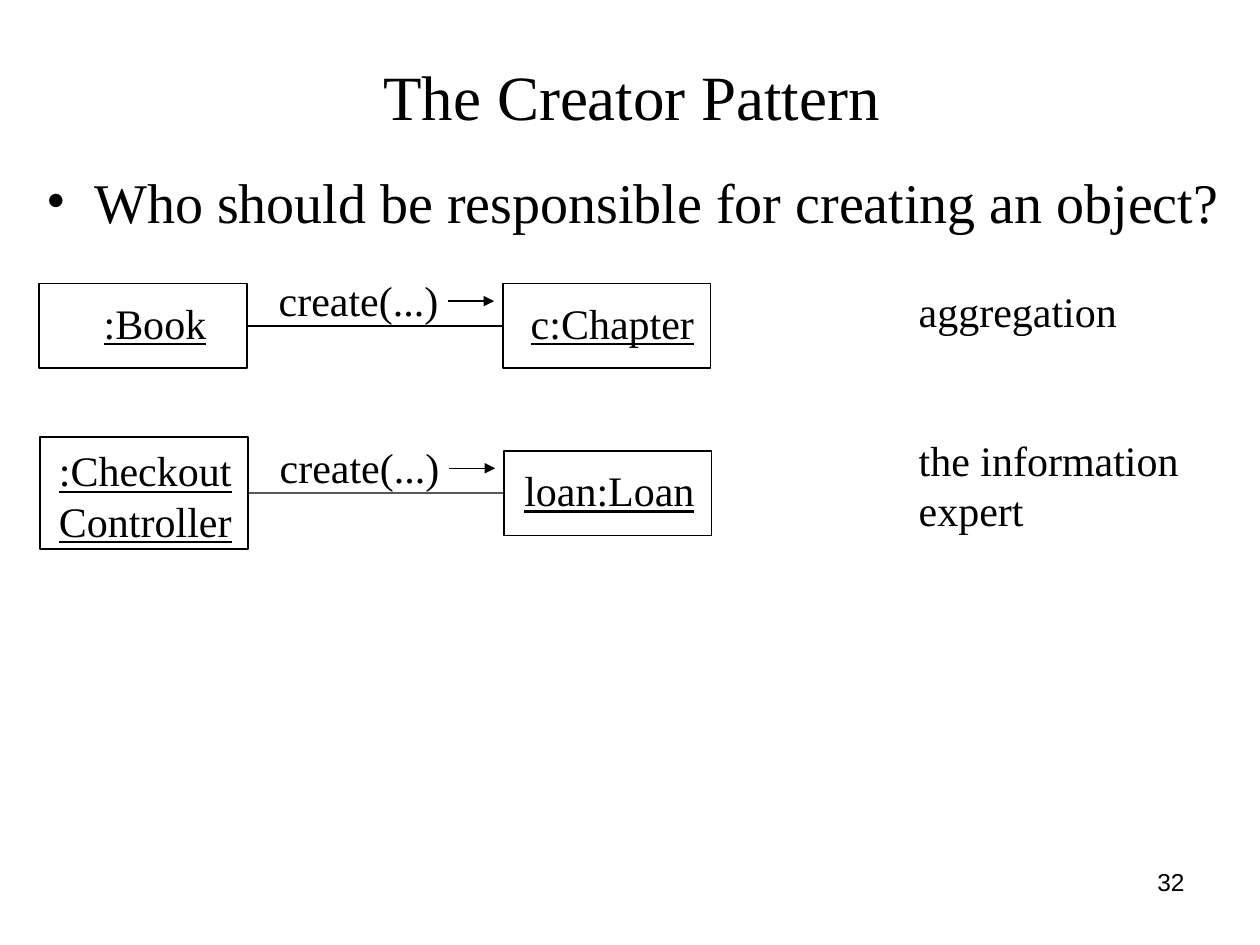
from dataclasses import dataclass

from lxml.etree import SubElement
from pptx import Presentation
from pptx.dml.color import RGBColor
from pptx.enum.shapes import MSO_CONNECTOR, MSO_SHAPE
from pptx.enum.text import MSO_ANCHOR, PP_ALIGN
from pptx.oxml.ns import qn
from pptx.shapes.autoshape import Shape
from pptx.shapes.connector import Connector
from pptx.slide import Slide
from pptx.text.text import TextFrame
from pptx.util import Cm, Pt

BLACK = "000000"
SERIF = "Times New Roman"
BOX_WIDTH = 4.19
RECEIVER_OFFSET = 9.35
LINE_HEIGHT = 1.02


@dataclass
class Participant:
    name: str
    height: float
    text_left: float
    text_drop: float
    text_width: float


@dataclass
class Interaction:
    left: float
    middle: float
    creator: Participant
    created: Participant
    reason: str
    reason_top: float
    reason_width: float


INTERACTIONS = [
    Interaction(0.79, 6.57,
                Participant(":Book", 1.7, 1.3, -0.57, 2.25),
                Participant("c:Chapter", 1.7, 0.56, -0.57, 3.5),
                "aggregation", 5.76, 4.2),
    Interaction(0.81, 9.94,
                Participant(":Checkout\nController", 2.26, 0.38, -0.97, 3.65),
                Participant("loan:Loan", 1.7, 0.41, -0.57, 3.6),
                "the information\nexpert", 8.76, 5.45),
]


def colour(value: str) -> RGBColor:
    return RGBColor.from_string(value)


def format_text(frame: TextFrame, size: float, font_name: str = SERIF,
                align: PP_ALIGN = PP_ALIGN.LEFT, underline: bool = False) -> None:
    for paragraph in frame.paragraphs:
        paragraph.alignment = align
        font = paragraph.font
        font.name, font.size = font_name, Pt(size)
        font.color.rgb = colour(BLACK)
        font.underline = underline


def add_label(slide: Slide, text: str, left: float, top: float, width: float,
              underline: bool = False) -> None:
    height = LINE_HEIGHT * len(text.split("\n"))
    frame = slide.shapes.add_textbox(Cm(left), Cm(top), Cm(width), Cm(height)).text_frame
    frame.margin_left = frame.margin_right = frame.margin_top = frame.margin_bottom = 0
    frame.word_wrap = True
    frame.text = text
    format_text(frame, 24, underline=underline)


def add_participant(slide: Slide, participant: Participant, left: float, middle: float) -> Shape:
    box = slide.shapes.add_shape(
        MSO_SHAPE.RECTANGLE, Cm(left), Cm(middle - participant.height / 2),
        Cm(BOX_WIDTH), Cm(participant.height))
    box.shadow.inherit = False
    box.fill.background()
    box.line.color.rgb = colour(BLACK)
    box.line.width = Pt(0.75)
    add_label(slide, participant.name, left + participant.text_left,
              middle + participant.text_drop, participant.text_width, underline=True)
    return box


def add_line(slide: Slide, start: float, end: float, height: float) -> Connector:
    line = slide.shapes.add_connector(
        MSO_CONNECTOR.STRAIGHT, Cm(start), Cm(height), Cm(end), Cm(height))
    line.line.color.rgb = colour(BLACK)
    line.line.width = Pt(0.75)
    SubElement(line._element.spPr, qn("a:effectLst"))
    return line


def add_interaction(slide: Slide, interaction: Interaction) -> None:
    left, middle = interaction.left, interaction.middle
    created_left = left + RECEIVER_OFFSET
    creator = add_participant(slide, interaction.creator, left, middle)
    created = add_participant(slide, interaction.created, created_left, middle)
    link = add_line(slide, left + BOX_WIDTH, created_left, middle)
    link.begin_connect(creator, 3)
    link.end_connect(created, 1)
    add_label(slide, "create(...)", left + 4.83, middle - 1.03, 3.4)
    arrow = add_line(slide, left + 8.25, left + 9.17, middle - 0.5)
    SubElement(arrow.line._get_or_add_ln(), qn("a:tailEnd"), type="triangle")
    add_label(slide, interaction.reason, 18.52, interaction.reason_top, interaction.reason_width)


def add_title(slide: Slide) -> None:
    title = slide.shapes.title
    title.left, title.top, title.width, title.height = Cm(0.74), Cm(0.86), Cm(24), Cm(2.11)
    title.text_frame.text = "The Creator Pattern"
    title.text_frame.vertical_anchor = MSO_ANCHOR.MIDDLE
    format_text(title.text_frame, 36, align=PP_ALIGN.CENTER)


def add_question(slide: Slide) -> None:
    frame = slide.shapes.add_textbox(Cm(0.69), Cm(3.25), Cm(24.16), Cm(1.8)).text_frame
    frame.word_wrap = True
    frame.text = "Who should be responsible for creating an object?"
    properties = frame.paragraphs[0]._p.get_or_add_pPr()
    properties.set("marL", str(Cm(0.96)))
    properties.set("indent", str(-Cm(0.96)))
    SubElement(properties, qn("a:buFont"), typeface=SERIF)
    SubElement(properties, qn("a:buChar"), char="•")
    format_text(frame, 32)


def add_page_number(slide: Slide) -> None:
    frame = slide.shapes.add_textbox(Cm(18.21), Cm(17.35), Cm(5.92), Cm(1.32)).text_frame
    frame.word_wrap = True
    frame.text = "32"
    format_text(frame, 14, "Arial", PP_ALIGN.RIGHT)


def main() -> None:
    presentation = Presentation()
    presentation.slide_width, presentation.slide_height = Cm(25.4), Cm(19.05)
    slide = presentation.slides.add_slide(presentation.slide_layouts[5])
    add_title(slide)
    add_question(slide)
    for interaction in INTERACTIONS:
        add_interaction(slide, interaction)
    add_page_number(slide)
    presentation.save("out.pptx")


if __name__ == "__main__":
    main()
